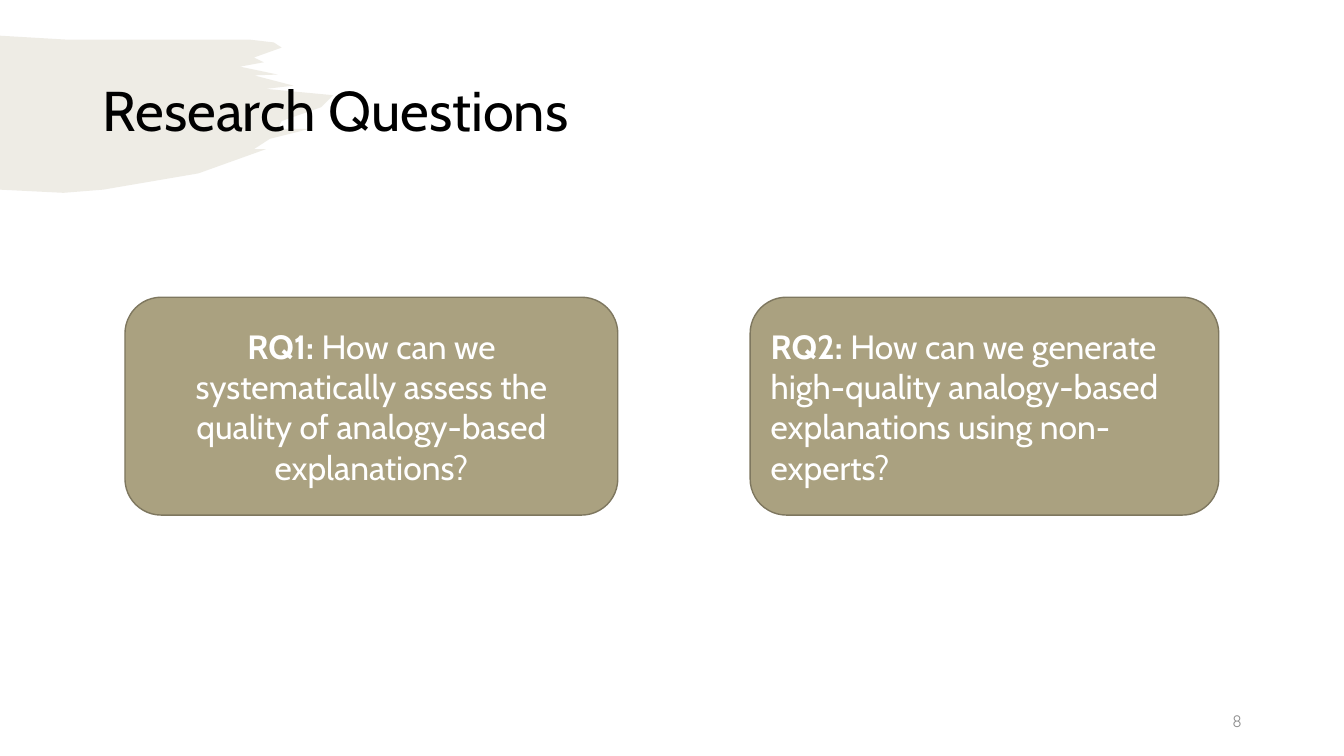
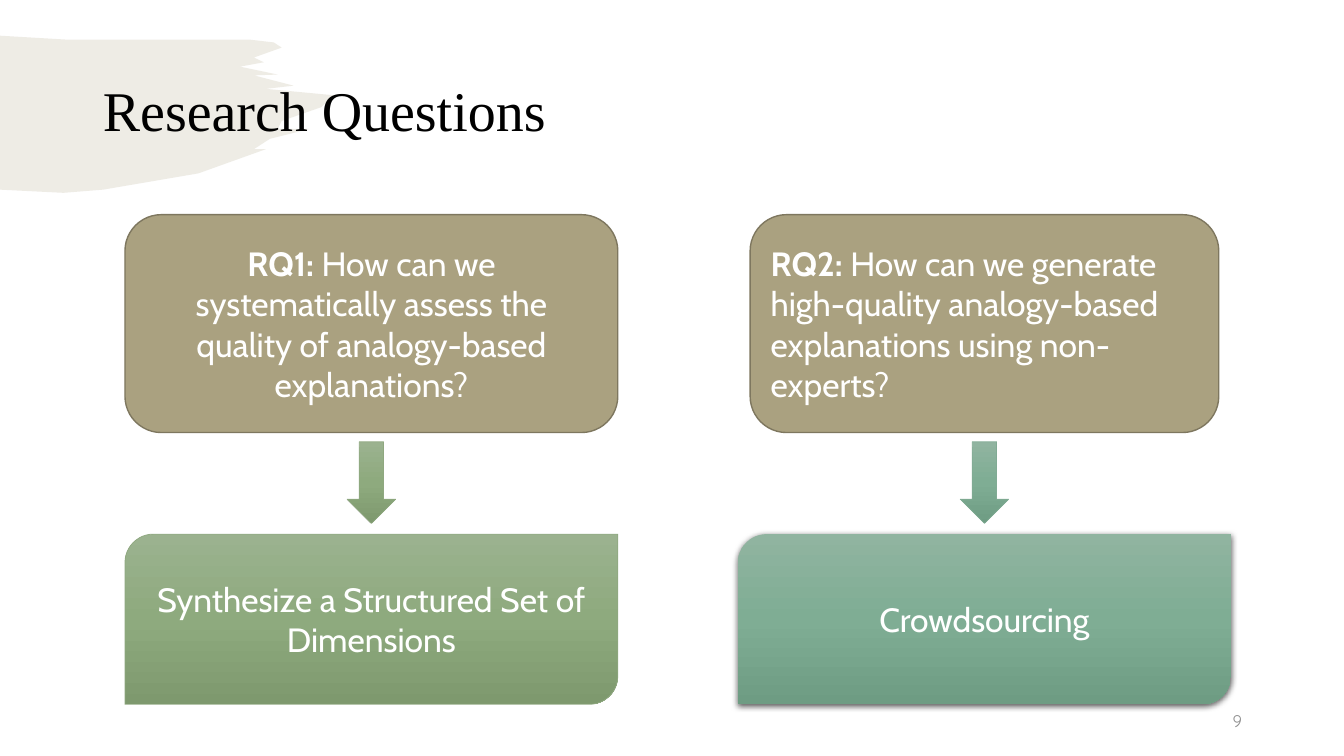
from copy import deepcopy
from dataclasses import dataclass

from pptx import Presentation
from pptx.dml.color import RGBColor
from pptx.enum import shapes, text
from pptx.oxml.ns import qn
from pptx.oxml.xmlchemy import OxmlElement
from pptx.util import Cm, Pt


@dataclass(frozen=True)
class Theme:
    black: str = "000000"
    white: str = "FFFFFF"
    grey: str = "8C8C8C"
    sand: str = "AAA180"
    sand_edge: str = "7E775F"
    green: tuple = ("9BB28F", "8EAA7E", "7E996E")
    green_edge: str = "8FA880"
    teal: tuple = ("90B4A0", "7FAD94", "6E9C83")
    teal_edge: str = "81AB94"
    body_font: str = "Cabin"
    number_font: str = "Quicksand"
    title_size: int = 40
    body_size: int = 24
    number_size: int = 12


THEME = Theme()
LEFT, CENTER, RIGHT = text.PP_ALIGN.LEFT, text.PP_ALIGN.CENTER, text.PP_ALIGN.RIGHT
KIND = shapes.MSO_SHAPE

TITLE = "Research Questions"
PAGES = [
    {"number": "8", "title_font": "Cabin", "question_top": 7.49, "answers": False},
    {"number": "9", "title_font": "Times New Roman", "question_top": 5.41, "answers": True},
]
COLUMNS = [
    {
        "center": 9.36, "question_width": 12.42, "align": CENTER, "label": "RQ1: ",
        "question": "How can we systematically assess the quality of analogy-based explanations?",
        "answer": "Synthesize a Structured Set of Dimensions",
        "blend": THEME.green, "edge": THEME.green_edge, "raised": False,
    },
    {
        "center": 24.81, "question_width": 11.81, "align": LEFT, "label": "RQ2: ",
        "question": "How can we generate high-quality analogy-based explanations using non-experts?",
        "answer": "Crowdsourcing",
        "blend": THEME.teal, "edge": THEME.teal_edge, "raised": True,
    },
]
QUESTION_HEIGHT = 5.49
ARROW_TOP, ARROW_SIZE = 11.13, (1.22, 2.06)
ANSWER_TOP, ANSWER_SIZE = 13.46, (12.42, 4.29)

BRUSH_OUTLINE = [
    (0, 0.9), (1.7, 1), (3.8, 1), (6.3, 1), (6.9, 1.07), (7.1, 1.2), (6.4, 1.45),
    (6.65, 1.57), (6.05, 1.68), (7, 1.88), (6.4, 1.9), (7.4, 2.16), (6.7, 2.24),
    (8.4, 2.4), (8.1, 2.7), (7.1, 3.05), (7, 3.25), (7.8, 3.25), (6.8, 3.5),
    (6.4, 3.76), (6.7, 3.76), (5, 4.37), (2.6, 4.78), (1.6, 4.86), (0, 4.78),
]


def color(code):
    return RGBColor.from_string(code)


def add_span(para, words, font, size, code, bold=False):
    span = para.add_run()
    span.text = words
    span.font.name = font
    span.font.size = Pt(size)
    span.font.bold = bold
    span.font.color.rgb = color(code)


def first_para(shape, align):
    frame = shape.text_frame
    frame.word_wrap = True
    frame.auto_size = text.MSO_AUTO_SIZE.NONE
    frame.vertical_anchor = text.MSO_ANCHOR.MIDDLE
    para = frame.paragraphs[0]
    para.alignment = align
    return para


def add_block(page, kind, center, top, width, height):
    block = page.shapes.add_shape(kind, Cm(center - width / 2), Cm(top), Cm(width), Cm(height))
    block.shadow.inherit = False
    return block


def set_line(shape, code, width):
    shape.line.color.rgb = color(code)
    shape.line.width = Pt(width)


def fill_blend(shape, codes):
    shape.fill.gradient()
    shape.fill.gradient_angle = 270
    stop_list = shape._element.spPr.find(qn("a:gradFill")).find(qn("a:gsLst"))
    stop_list.insert(1, deepcopy(stop_list[0]))
    for index, (stop, code) in enumerate(zip(shape.fill.gradient_stops, codes)):
        stop.position = index / 2
        stop.color.rgb = color(code)


def add_alpha(color_element, percent):
    alpha = OxmlElement("a:alpha")
    alpha.set("val", str(percent * 1000))
    color_element.append(alpha)


def raise_block(shape):
    shadow = OxmlElement("a:outerShdw")
    settings = {"blurRad": Pt(4.5), "dist": Pt(1.5), "dir": 90 * 60000, "rotWithShape": 0}
    for name, value in settings.items():
        shadow.set(name, str(int(value)))
    tint = OxmlElement("a:srgbClr")
    tint.set("val", THEME.black)
    add_alpha(tint, 63)
    shadow.append(tint)
    shape._element.spPr.find(qn("a:effectLst")).append(shadow)


def add_brush(page, layout):
    start, *rest = [(Cm(x), Cm(y)) for x, y in BRUSH_OUTLINE]
    builder = page.shapes.build_freeform(*start)
    builder.add_line_segments(rest, close=True)
    brush = builder.convert_to_shape()
    brush.shadow.inherit = False
    brush.line.fill.background()
    brush.fill.solid()
    brush.fill.fore_color.rgb = color(THEME.sand)
    add_alpha(brush._element.spPr.find(qn("a:solidFill"))[0], 20)
    layout.shapes._spTree.insert(2, brush._element)


def add_heading(page, content):
    title = page.shapes.title
    title.left, title.top, title.width, title.height = Cm(2.34), Cm(1.02), Cm(29.21), Cm(3.68)
    para = first_para(title, LEFT)
    para.line_spacing = 0.9
    add_span(para, TITLE, content["title_font"], THEME.title_size, THEME.black)

    box = page.shapes.add_textbox(Cm(23.93), Cm(17.65), Cm(7.62), Cm(1.02))
    add_span(first_para(box, RIGHT), content["number"], THEME.number_font, THEME.number_size, THEME.grey)


def add_question(page, column, top):
    block = add_block(page, KIND.FLOWCHART_ALTERNATE_PROCESS, column["center"], top,
                      column["question_width"], QUESTION_HEIGHT)
    block.fill.solid()
    block.fill.fore_color.rgb = color(THEME.sand)
    set_line(block, THEME.sand_edge, 1)
    para = first_para(block, column["align"])
    add_span(para, column["label"], THEME.body_font, THEME.body_size, THEME.white, True)
    add_span(para, column["question"], THEME.body_font, THEME.body_size, THEME.white)


def add_answer(page, column):
    block = add_block(page, KIND.ROUND_2_DIAG_RECTANGLE, column["center"], ANSWER_TOP, *ANSWER_SIZE)
    arrow = add_block(page, KIND.DOWN_ARROW, column["center"], ARROW_TOP, *ARROW_SIZE)
    for shape in (block, arrow):
        fill_blend(shape, column["blend"])
        set_line(shape, column["edge"], 0.5)
    if column["raised"]:
        block.line.fill.background()
        raise_block(block)
    add_span(first_para(block, CENTER), column["answer"], THEME.body_font, THEME.body_size, THEME.white)


def main():
    deck = Presentation()
    deck.slide_width, deck.slide_height = Cm(33.87), Cm(19.05)
    layout = deck.slide_layouts[5]
    for index, content in enumerate(PAGES):
        page = deck.slides.add_slide(layout)
        if index == 0:
            add_brush(page, layout)
        add_heading(page, content)
        for column in COLUMNS:
            add_question(page, column, content["question_top"])
            if content["answers"]:
                add_answer(page, column)
    deck.save("out.pptx")


if __name__ == "__main__":
    main()
